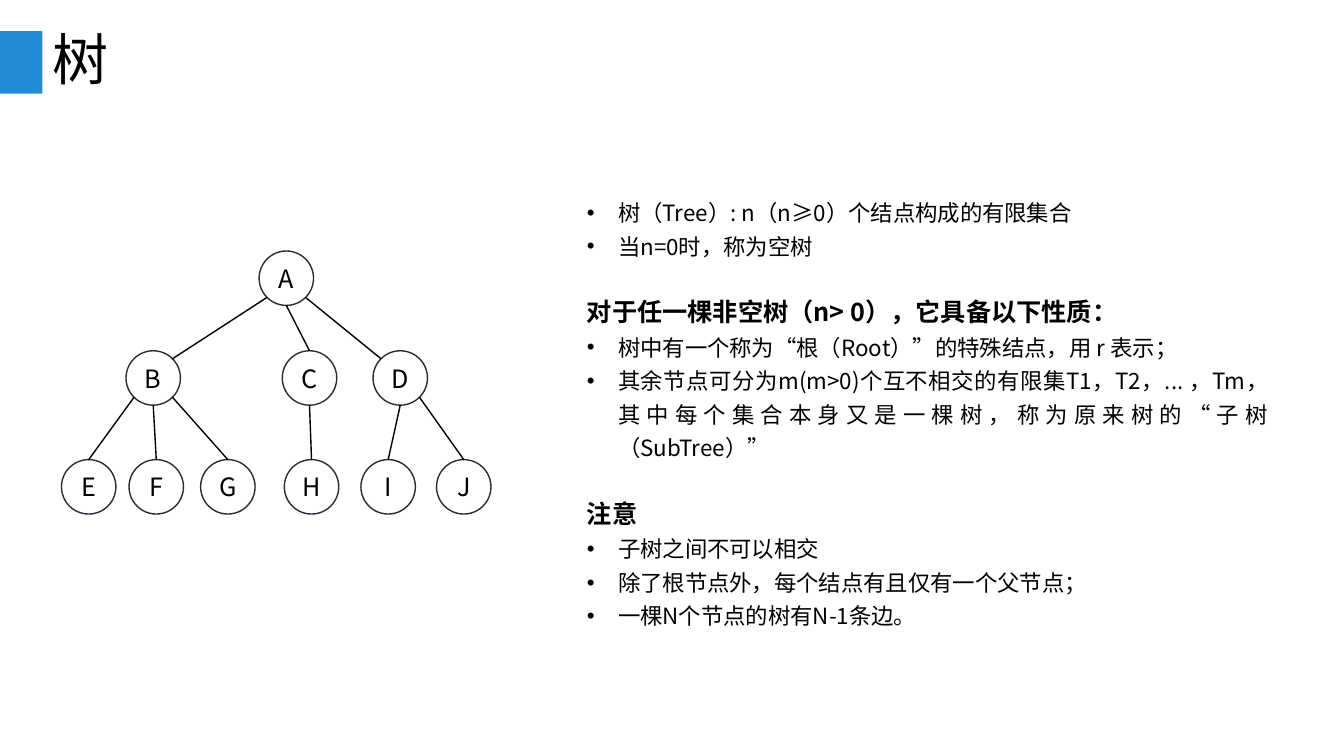
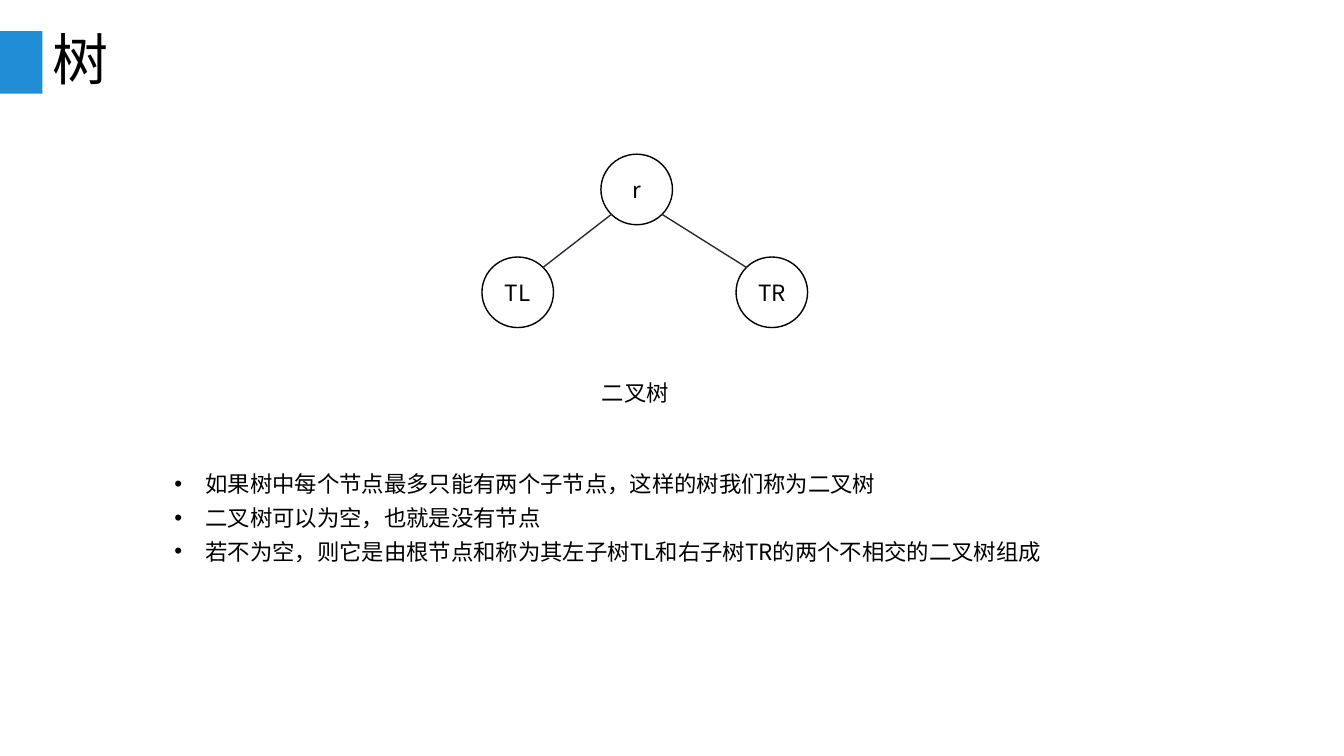
from lxml import etree
from pptx import Presentation
from pptx.dml.color import RGBColor
from pptx.enum.shapes import MSO_CONNECTOR, MSO_SHAPE
from pptx.enum.text import MSO_ANCHOR, MSO_AUTO_SIZE, PP_ALIGN
from pptx.oxml.ns import qn
from pptx.util import Inches, Pt

RECT, OVAL = MSO_SHAPE.RECTANGLE, MSO_SHAPE.OVAL
STRAIGHT = MSO_CONNECTOR.STRAIGHT
LEFT, CENTER, JUSTIFY = PP_ALIGN.LEFT, PP_ALIGN.CENTER, PP_ALIGN.JUSTIFY
TOP, MIDDLE = MSO_ANCHOR.TOP, MSO_ANCHOR.MIDDLE
NO_FIT = MSO_AUTO_SIZE.NONE

FONT = "Noto Sans CJK SC"
COLORS = {"band": "218DD6", "text": "000000", "dark": "292B37", "white": "FFFFFF"}
TITLE_FORMAT = {"alignment": LEFT, "line_spacing": 0.9}
BODY_FORMAT = {"alignment": JUSTIFY, "line_spacing": Pt(24), "space_before": Pt(0)}
HEADING_FORMAT = {**BODY_FORMAT, "space_before": Pt(24)}
SITES = {
    "top": (0.5, 0), "bottom": (0.5, 1),
    "upper left": (0.15, 0.15), "upper right": (0.85, 0.15),
    "lower left": (0.15, 0.85), "lower right": (0.85, 0.85),
}


def rgb(name):
    return RGBColor.from_string(COLORS[name])


def set_attrs(target, values):
    for name, value in values.items():
        setattr(target, name, value)


def place(shape, box):
    names = ("left", "top", "width", "height")
    set_attrs(shape, dict(zip(names, map(Inches, box))))


def write(p, text, size, fmt, bold=False):
    set_attrs(p, fmt)
    r = p.add_run()
    r.text = text
    set_attrs(r.font, {"name": FONT, "size": Pt(size), "bold": bold})
    r.font.color.rgb = rgb("text")
    etree.SubElement(r.font._element, qn("a:ea"), typeface=FONT)


def set_bullet(p, bullet):
    pPr = p._p.get_or_add_pPr()
    indent = Inches(0.31) if bullet else 0
    pPr.set("marL", str(indent))
    pPr.set("indent", str(-indent))
    if bullet:
        etree.SubElement(pPr, qn("a:buChar"), char="•")
    else:
        etree.SubElement(pPr, qn("a:buNone"))


def set_up_layout(layout, s):
    band = s.shapes.add_shape(RECT, 0, Inches(0.31), Inches(0.42), Inches(0.62))
    band.shadow.inherit = False
    band.fill.solid()
    band.fill.fore_color.rgb = rgb("band")
    band.line.fill.background()
    layout.shapes.element.append(band._element)
    title = layout.placeholders[0]
    place(title, (0.42, 0.3, 12.5, 0.64))
    set_attrs(title.text_frame, {"vertical_anchor": MIDDLE, "auto_size": NO_FIT})


def add_title(s, text):
    write(s.shapes.title.text_frame.paragraphs[0], text, 40, TITLE_FORMAT)


def add_body(s, box, sections):
    body = s.placeholders[1]
    place(body, box)
    tf = body.text_frame
    set_attrs(tf, {"vertical_anchor": TOP, "auto_size": NO_FIT})
    lines = []
    for heading, items in sections:
        if heading:
            lines.append((heading, False))
        lines += [(item, True) for item in items]
    for i, (text, bullet) in enumerate(lines):
        p = tf.add_paragraph() if i else tf.paragraphs[0]
        if bullet:
            write(p, text, 16, BODY_FORMAT)
        else:
            write(p, text, 18, HEADING_FORMAT, bold=True)
        set_bullet(p, bullet)


def add_node(s, label, box, size, line):
    node = s.shapes.add_shape(OVAL, *map(Inches, box))
    node.shadow.inherit = False
    node.fill.solid()
    node.fill.fore_color.rgb = rgb("white")
    node.line.color.rgb = rgb(line)
    node.line.width = Pt(1)
    tf = node.text_frame
    margins = ("margin_left", "margin_top", "margin_right", "margin_bottom")
    set_attrs(tf, dict.fromkeys(margins, 0))
    set_attrs(tf, {"word_wrap": False, "vertical_anchor": MIDDLE})
    write(tf.paragraphs[0], label, size, {"alignment": CENTER})


def add_edge(s, start, end, color):
    edge = s.shapes.add_connector(STRAIGHT, *map(Inches, start + end))
    edge.line.color.rgb = rgb(color)
    edge.line.width = Pt(1)
    etree.SubElement(edge._element.spPr, qn("a:effectLst"))


def add_tree(s, origin, node_size, levels, edges, font_size, node_line, edge_line):
    left, top = origin
    width, height = node_size
    corners = {}
    for y, row in levels:
        for label, x in row.items():
            corners[label] = (left + x, top + y)
            add_node(s, label, corners[label] + node_size, font_size, node_line)

    def site(label, name):
        x, y = corners[label]
        fx, fy = SITES[name]
        return x + fx * width, y + fy * height

    for parent, leave, child, enter in edges:
        add_edge(s, site(parent, leave), site(child, enter), edge_line)


def add_caption(s, box, text):
    tf = s.shapes.add_textbox(*map(Inches, box)).text_frame
    tf.word_wrap = False
    write(tf.paragraphs[0], text, 16, BODY_FORMAT)


def build_tree_slide(s):
    add_title(s, "树")
    levels = [
        (0, {"A": 1.96}),
        (0.99, {"B": 0.64, "C": 2.19, "D": 3.09}),
        (2.07, {"E": 0, "F": 0.67, "G": 1.38, "H": 2.21, "I": 2.97, "J": 3.72}),
    ]
    edges = [
        ("A", "lower left", "B", "upper right"),
        ("A", "bottom", "C", "top"),
        ("A", "lower right", "D", "upper left"),
        ("B", "lower left", "E", "top"),
        ("B", "bottom", "F", "top"),
        ("B", "lower right", "G", "top"),
        ("C", "bottom", "H", "top"),
        ("D", "bottom", "I", "top"),
        ("D", "lower right", "J", "top"),
    ]
    add_tree(s, (0.61, 2.49), (0.54, 0.54), levels, edges, 18, "dark", "text")
    add_body(s, (5.72, 1.86, 6.96, 4.11), [
        (None, [
            "树（Tree）: n（n≥0）个结点构成的有限集合",
            "当n=0时，称为空树",
        ]),
        ("对于任一棵非空树（n> 0），它具备以下性质：", [
            "树中有一个称为“根（Root）”的特殊结点，用 r 表示；",
            "其余节点可分为m(m>0)个互不相交的有限集T1，T2，... ，Tm，"
            "其中每个集合本身又是一棵树，称为原来树的“子树（SubTree）”",
        ]),
        ("注意", [
            "子树之间不可以相交",
            "除了根节点外，每个结点有且仅有一个父节点；",
            "一棵N个节点的树有N-1条边。",
        ]),
    ])


def build_binary_tree_slide(s):
    add_title(s, "树")
    levels = [(0, {"r": 1.18}), (1.02, {"TL": 0, "TR": 2.52})]
    edges = [
        ("r", "lower left", "TL", "upper right"),
        ("r", "lower right", "TR", "upper left"),
    ]
    add_tree(s, (4.78, 1.53), (0.71, 0.7), levels, edges, 16, "text", "dark")
    add_caption(s, (5.87, 3.64, 0.88, 0.41), "二叉树")
    add_body(s, (1.63, 4.55, 9.92, 1.42), [
        (None, [
            "如果树中每个节点最多只能有两个子节点，这样的树我们称为二叉树",
            "二叉树可以为空，也就是没有节点",
            "若不为空，则它是由根节点和称为其左子树TL和右子树TR的两个不相交的二叉树组成",
        ]),
    ])


def main():
    prs = Presentation()
    prs.slide_width, prs.slide_height = Inches(13.33), Inches(7.5)
    layout = prs.slide_layouts[1]
    slides = [prs.slides.add_slide(layout) for _ in range(2)]
    set_up_layout(layout, slides[0])
    build_tree_slide(slides[0])
    build_binary_tree_slide(slides[1])
    prs.save("out.pptx")


if __name__ == "__main__":
    main()
